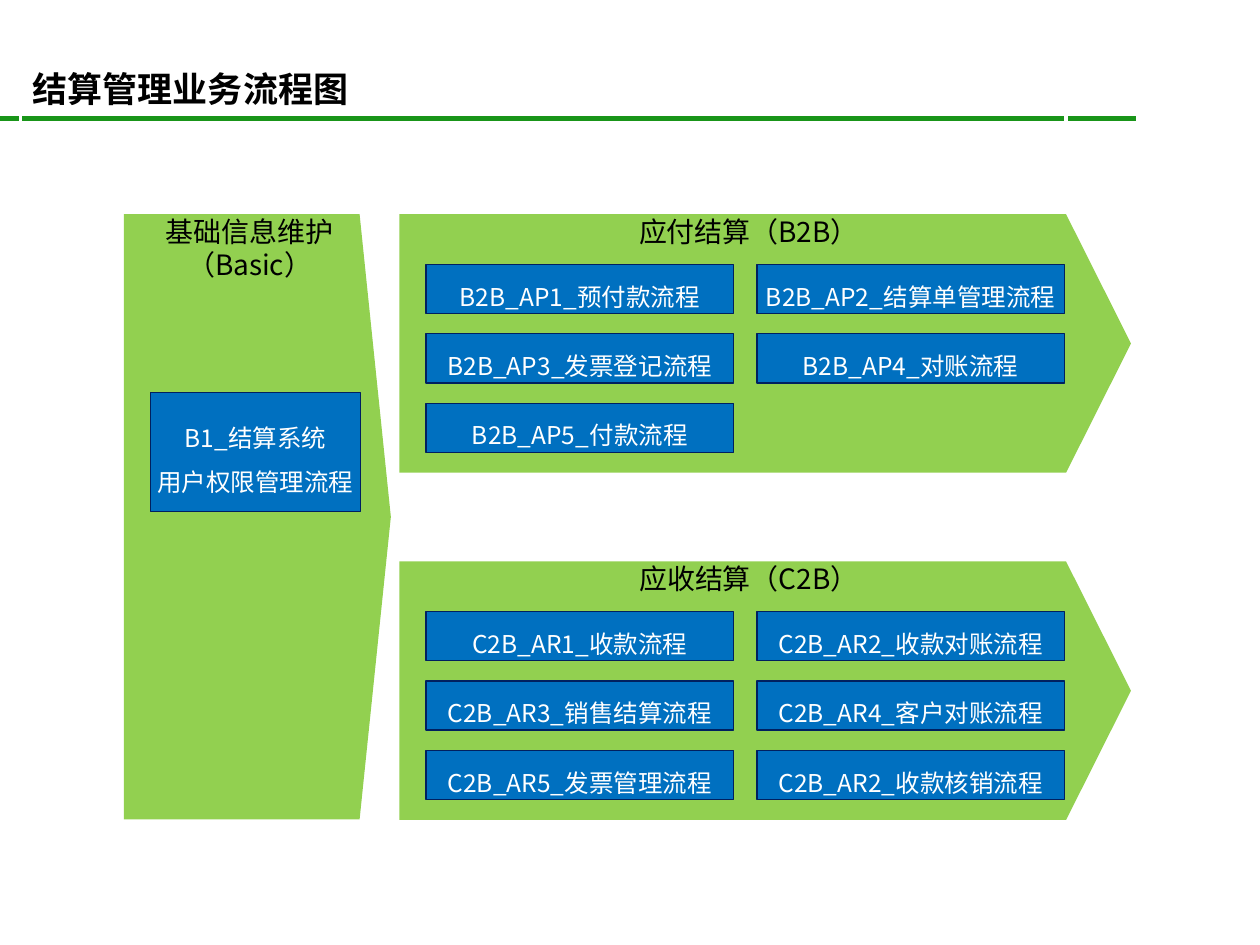
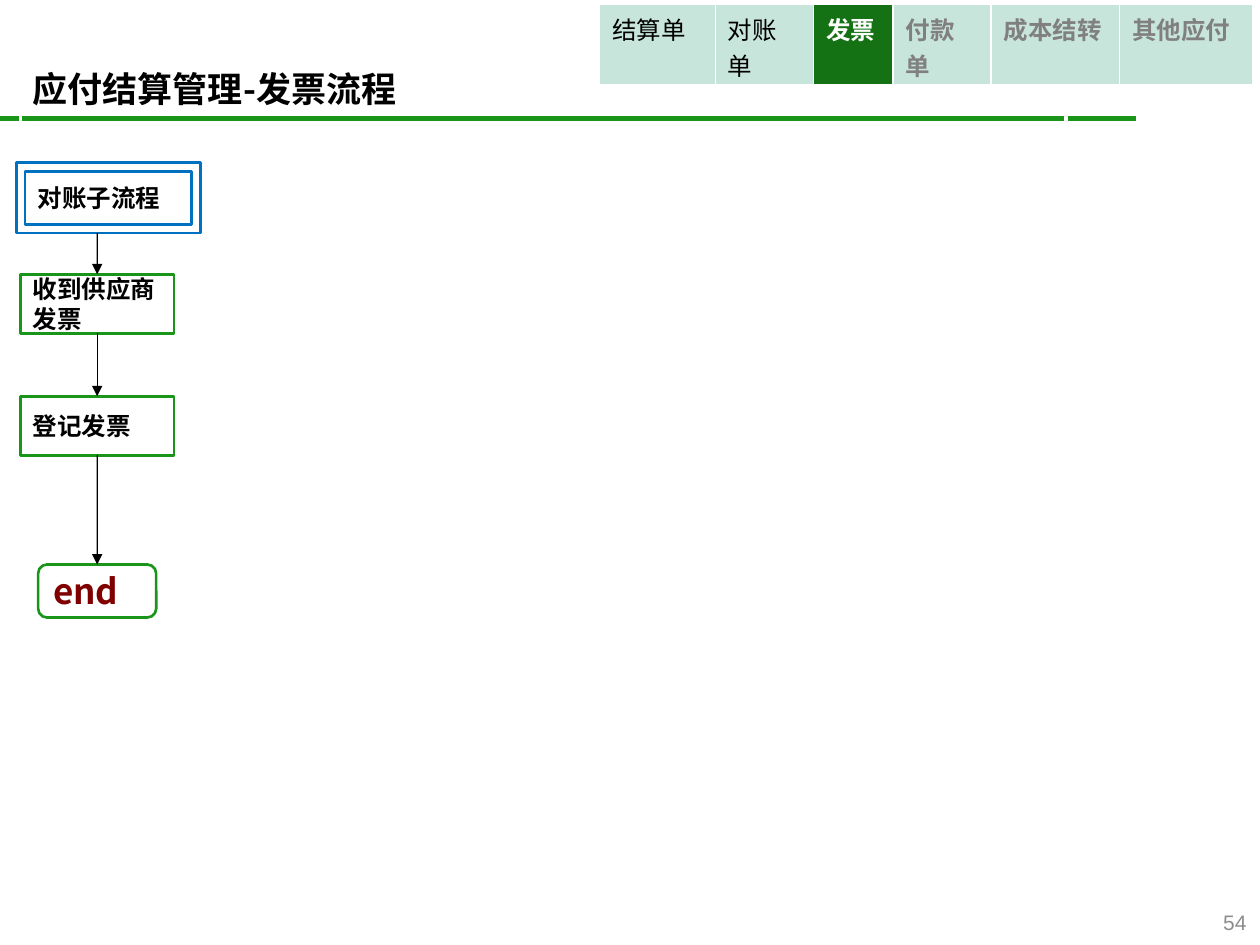
from lxml.etree import SubElement
from pptx import Presentation
from pptx.dml.color import RGBColor
from pptx.enum.shapes import MSO_CONNECTOR as Connector, MSO_SHAPE as Preset
from pptx.enum.text import MSO_ANCHOR as Anchor, PP_ALIGN as Align
from pptx.oxml.ns import qn
from pptx.util import Cm, Pt

CJK_FONT = "Noto Sans CJK SC"
BLACK, WHITE, GREY = "000000", "FFFFFF", "808080"
GREEN, DARK_GREEN, LIME, MINT = "199519", "147214", "92D050", "C8E5DC"
BLUE, NAVY, MAROON = "0070C0", "002060", "800000"


def color(hex_code):
    return RGBColor.from_string(hex_code)


def write(frame, text, size, ink=BLACK, bold=False, align=Align.LEFT,
          spacing=None, font=CJK_FONT):
    frame.text = text
    for paragraph in frame.paragraphs:
        paragraph.alignment = align
        if spacing:
            paragraph.line_spacing = spacing
        for run in paragraph.runs:
            run.font.size = Pt(size)
            run.font.bold = bold
            run.font.name = font
            run.font.color.rgb = color(ink)
            SubElement(run.font._element, qn("a:ea"), typeface=font)


def add_block(slide, preset, box, fill=None, outline=None, width=0.75):
    block = slide.shapes.add_shape(preset, *map(Cm, box))
    block.shadow.inherit = False
    if fill:
        block.fill.solid()
        block.fill.fore_color.rgb = color(fill)
    else:
        block.fill.background()
    if outline:
        block.line.color.rgb = color(outline)
        block.line.width = Pt(width)
    else:
        block.line.fill.background()
    block.text_frame.vertical_anchor = Anchor.MIDDLE
    block.text_frame.word_wrap = True
    return block


def add_line(slide, start, end, ink, width, arrow=False):
    line = slide.shapes.add_connector(Connector.STRAIGHT, *map(Cm, start + end))
    line.line.color.rgb = color(ink)
    line.line.width = Pt(width)
    if arrow:
        SubElement(line.line._get_or_add_ln(), qn("a:tailEnd"), type="triangle")
    SubElement(line._element.spPr, qn("a:effectLst"))
    return line


def add_titled_slide(deck, title):
    slide = deck.slides.add_slide(deck.slide_layouts[6])
    add_line(slide, (0, 2.39), (22.91, 2.39), GREEN, 3)
    heading = add_block(slide, Preset.RECTANGLE, (0.41, 1.05, 21.08, 1.47),
                        outline=WHITE, width=2)
    write(heading.text_frame, title, 20, bold=True)
    return slide


def add_process(slide, box, name):
    process = add_block(slide, Preset.RECTANGLE, box, BLUE, NAVY)
    process.text_frame.word_wrap = False
    write(process.text_frame, name, 14, WHITE, align=Align.CENTER, spacing=1.5)


def add_stage(slide, box, name, point, processes, size, columns=1,
              first=(0.54, 1.01), step=(6.67, 1.4)):
    stage = add_block(slide, Preset.PENTAGON, box, LIME)
    stage.adjustments[0] = point
    frame = stage.text_frame
    frame.vertical_anchor = Anchor.TOP
    frame.margin_left = frame.margin_top = frame.margin_right = frame.margin_bottom = 0
    frame.word_wrap = False
    write(frame, name, 16, align=Align.CENTER)
    for index, process in enumerate(processes):
        row, column = divmod(index, columns)
        left = box[0] + first[0] + column * step[0]
        top = box[1] + first[1] + row * step[1]
        add_process(slide, (left, top, *size), process)


def build_overview(deck):
    slide = add_titled_slide(deck, "结算管理业务流程图")
    add_stage(slide, (2.5, 4.32, 5.38, 12.2), "基础信息维护\n（Basic）", 0.117,
              ["B1_结算系统\n用户权限管理流程"], (4.24, 2.39), first=(0.53, 3.6))
    settlements = [
        ("应付结算（B2B）", 4.32,
         ["B2B_AP1_预付款流程", "B2B_AP2_结算单管理流程", "B2B_AP3_发票登记流程",
          "B2B_AP4_对账流程", "B2B_AP5_付款流程"]),
        ("应收结算（C2B）", 11.32,
         ["C2B_AR1_收款流程", "C2B_AR2_收款对账流程", "C2B_AR3_销售结算流程",
          "C2B_AR4_客户对账流程", "C2B_AR5_发票管理流程", "C2B_AR2_收款核销流程"]),
    ]
    for name, top, processes in settlements:
        add_stage(slide, (8.05, top, 14.75, 5.21), name, 0.251,
                  processes, (6.2, 0.99), columns=2)


def add_cell_borders(cell):
    properties = cell._tc.get_or_add_tcPr()
    for side, width in (("L", 1), ("R", 1), ("T", 1), ("B", 3)):
        border = SubElement(properties, qn(f"a:ln{side}"), w=str(Pt(width)))
        SubElement(SubElement(border, qn("a:solidFill")), qn("a:srgbClr"), val=WHITE)


def add_document_tabs(slide, box):
    tabs = [("结算单", 2.33, MINT, BLACK, False), ("对账单", 1.98, MINT, BLACK, False),
            ("发票", 1.6, DARK_GREEN, WHITE, True), ("付款单", 1.98, MINT, GREY, True),
            ("成本结转", 2.59, MINT, GREY, True), ("其他应付", 2.69, MINT, GREY, True)]
    table = slide.shapes.add_table(1, len(tabs), *map(Cm, box)).table
    table.first_row = table.horz_banding = False
    for index, (name, width, fill, ink, bold) in enumerate(tabs):
        table.columns[index].width = Cm(width)
        cell = table.cell(0, index)
        add_cell_borders(cell)
        cell.fill.solid()
        cell.fill.fore_color.rgb = color(fill)
        write(cell.text_frame, name, 14, ink, bold)


def add_invoice_flow(slide, left, top):
    axis = left + 1.63

    def add_step(preset, offset, width, height, name, outline=GREEN,
                 size=14, ink=BLACK, center=axis):
        step = add_block(slide, preset, (center - width / 2, top + offset, width, height),
                         WHITE, outline, 1.5)
        write(step.text_frame, name, size, ink, True)
        return step

    reconcile = (3.71, 1.42)
    add_step(Preset.FRAME, 0, *reconcile, "对账子流程", BLUE,
             center=left + reconcile[0] / 2)
    receive = add_step(Preset.RECTANGLE, 2.25, 3.1, 1.19, "收到供应商\n发票")
    register = add_step(Preset.RECTANGLE, 4.71, 3.1, 1.19, "登记发票")
    end = add_step(Preset.FLOWCHART_ALTERNATE_PROCESS, 8.1, 2.38, 1.07, "end",
                   size=20, ink=MAROON)

    start = (axis, top + reconcile[1])
    for source, target in ((None, receive), (receive, register), (register, end)):
        arrow = add_line(slide, start, (axis, top + 2.25), BLACK, 0.75, arrow=True)
        if source:
            arrow.begin_connect(source, 2)
        arrow.end_connect(target, 0)


def add_page_number(slide, box, number):
    page = slide.shapes.add_textbox(*map(Cm, box)).text_frame
    page.word_wrap = True
    page.vertical_anchor = Anchor.MIDDLE
    write(page, number, 12, "8C8C8C", align=Align.RIGHT, font="Arial")


def build_invoice_process(deck):
    slide = add_titled_slide(deck, "应付结算管理-发票流程")
    add_page_number(slide, (23.96, 18.15, 1.42, 0.86), "54")
    add_document_tabs(slide, (12.09, 0.09, 13.17, 1.65))
    add_invoice_flow(slide, 0.33, 3.28)


def main():
    deck = Presentation()
    deck.slide_width, deck.slide_height = Cm(25.4), Cm(19.05)
    build_overview(deck)
    build_invoice_process(deck)
    deck.save("out.pptx")


if __name__ == "__main__":
    main()
